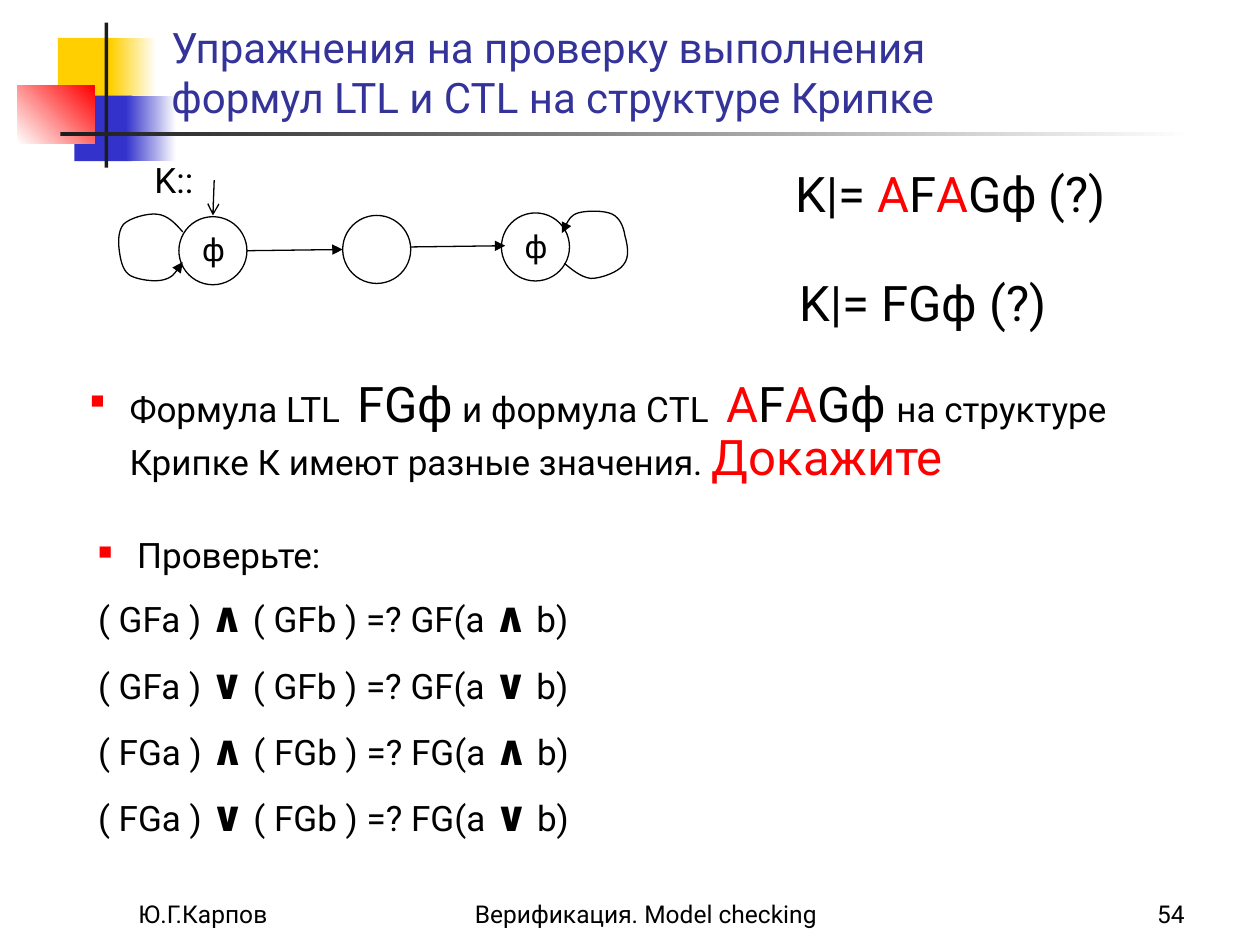
from lxml import etree
from pptx import Presentation
from pptx.dml.color import RGBColor
from pptx.enum.shapes import MSO_CONNECTOR, MSO_SHAPE
from pptx.enum.text import MSO_ANCHOR, PP_ALIGN
from pptx.oxml.ns import qn
from pptx.util import Inches, Pt

COLORS = {"black": "000000", "red": "FF0000", "title": "333399", "blue": "3333CC",
          "yellow": "FFCF01", "white": "FFFFFF", "dark": "1C1C1C"}
FONT = "Roboto"


def rgb(name):
    return RGBColor.from_string(COLORS[name])


class SlideBuilder:
    """Holds the slide being built and its drawing style."""

    def __init__(self, deck):
        self.slide = deck.slides.add_slide(deck.slide_layouts[5])
        self.shapes = self.slide.shapes

    def add_runs(self, para, runs):
        """Each run is (text, size, colour name, bold), the last two optional."""
        for text, size, *style in runs:
            span = para.add_run()
            span.text = text
            span.font.name = FONT
            span.font.size = Pt(size)
            span.font.color.rgb = rgb(style[0] if style else "black")
            span.font.bold = len(style) > 1 and style[1]

    def title(self, lines, left, top, width, height):
        box = self.shapes.title
        box.left, box.top = Inches(left), Inches(top)
        box.width, box.height = Inches(width), Inches(height)
        frame = box.text_frame
        frame.vertical_anchor = MSO_ANCHOR.BOTTOM
        para = frame.paragraphs[0]
        para.alignment = PP_ALIGN.LEFT
        for number, line in enumerate(lines):
            if number:
                para.add_line_break()
            self.add_runs(para, [(line, 24, "title")])

    def text(self, runs, left, top, width, height, align=PP_ALIGN.CENTER,
             anchor=MSO_ANCHOR.TOP, wrap=True):
        box = self.shapes.add_textbox(Inches(left), Inches(top), Inches(width), Inches(height))
        frame = box.text_frame
        frame.word_wrap = wrap
        frame.vertical_anchor = anchor
        para = frame.paragraphs[0]
        para.alignment = align
        self.add_runs(para, runs)
        return frame

    def paragraph_format(self, para, bullet=False, space_before=0):
        para.line_spacing = 0.9
        para.space_before = Pt(space_before)
        props = para._p.get_or_add_pPr()
        props.set("marL", str(Inches(0.81 if bullet else 0.5)))
        props.set("indent", str(Inches(-0.31 if bullet else 0)))
        if bullet:
            color = etree.SubElement(props, qn("a:buClr"))
            etree.SubElement(color, qn("a:srgbClr"), val=COLORS["red"])
            etree.SubElement(props, qn("a:buSzPct"), val="55000")
            etree.SubElement(props, qn("a:buChar"), char="■")
        else:
            etree.SubElement(props, qn("a:buNone"))

    def rectangle(self, left, top, width, height, color, fade_to=None, angle=0):
        shape = self.shapes.add_shape(MSO_SHAPE.RECTANGLE, Inches(left), Inches(top),
                                      Inches(width), Inches(height))
        shape.shadow.inherit = False
        shape.line.fill.background()
        if fade_to:
            shape.fill.gradient()
            shape.fill.gradient_angle = angle
            for stop, name in zip(shape.fill.gradient_stops, (color, fade_to)):
                stop.color.rgb = rgb(name)
        else:
            shape.fill.solid()
            shape.fill.fore_color.rgb = rgb(color)

    def outline(self, shape, head=None):
        shape.line.color.rgb = rgb("black")
        shape.line.width = Pt(0.75)
        if head:
            etree.SubElement(shape.line._get_or_add_ln(), qn("a:tailEnd"), type=head)

    def state(self, left, top, label=None):
        circle = self.shapes.add_shape(MSO_SHAPE.OVAL, Inches(left), Inches(top),
                                       Inches(0.54), Inches(0.54))
        circle.shadow.inherit = False
        circle.fill.background()
        self.outline(circle)
        if label:
            self.text([(label, 18)], left, top + 0.06, 0.55, 0.4)

    def arrow(self, start, end, head="triangle"):
        line = self.shapes.add_connector(MSO_CONNECTOR.STRAIGHT,
                                         *(Inches(value) for value in start + end))
        self.outline(line, head)
        etree.SubElement(line._element.spPr, qn("a:effectLst"))

    def loop(self, points):
        """Draw an arrow along Bezier curves: a start, then three points per curve."""
        start, *rest = [(Inches(x), Inches(y)) for x, y in points]
        builder = self.shapes.build_freeform(*start)
        builder.add_line_segments(rest, close=False)
        shape = builder.convert_to_shape()
        shape.shadow.inherit = False
        shape.fill.background()
        self.outline(shape, "triangle")
        segments = list(shape._element.iter(qn("a:lnTo")))
        outline = segments[0].getparent()
        for first in range(0, len(segments), 3):
            curve = etree.SubElement(outline, qn("a:cubicBezTo"))
            for segment in segments[first:first + 3]:
                curve.append(segment[0])
                outline.remove(segment)


def main():
    deck = Presentation()
    deck.slide_width, deck.slide_height = Inches(10), Inches(7.5)
    page = SlideBuilder(deck)

    # Corner ornament
    page.rectangle(0.46, 0.3, 0.48, 0.52, "yellow")
    page.rectangle(0.88, 0.3, 0.36, 0.52, "yellow", "white")
    page.rectangle(0.59, 0.76, 0.46, 0.52, "blue")
    page.rectangle(1, 0.76, 0.4, 0.52, "blue", "white")
    page.rectangle(0.14, 0.68, 0.61, 0.46, "white", "red", angle=45)
    page.rectangle(0.83, 0.18, 0.03, 1.15, "dark")
    page.rectangle(0.48, 1.05, 9, 0.03, "dark", "white")

    # The title is drawn over the ornament
    tree = page.shapes.title._element.getparent()
    tree.append(page.shapes.title._element)
    page.title(["Упражнения на проверку выполнения ", "формул LTL и CTL на структуре Крипке"],
               1.26, 0.22, 8.52, 0.8)
    for text, left, width, align in (
            ("Ю.Г.Карпов", 1, 2.08, PP_ALIGN.LEFT),
            ("Верификация. Model checking", 3.67, 3.17, PP_ALIGN.LEFT),
            ("54", 7.42, 2.08, PP_ALIGN.RIGHT)):
        page.text([(text, 14)], left, 6.92, width, 0.5, align, MSO_ANCHOR.BOTTOM)

    # Kripke structure
    page.state(1.42, 1.72, "ϕ")
    page.state(2.72, 1.71)
    page.state(3.98, 1.69, "ϕ")
    page.arrow((1.7, 1.43), (1.69, 1.71), "arrow")
    page.arrow((1.96, 1.99), (2.72, 1.98))
    page.arrow((3.26, 1.96), (4.01, 1.95))
    page.loop([(1.45, 1.84), (1.39, 1.77), (1.33, 1.71), (1.25, 1.7),
               (1.17, 1.69), (1.03, 1.73), (0.98, 1.78),
               (0.93, 1.84), (0.94, 1.95), (0.95, 2.01),
               (0.96, 2.08), (0.98, 2.16), (1.04, 2.19),
               (1.1, 2.22), (1.23, 2.24), (1.3, 2.22),
               (1.37, 2.2), (1.41, 2.14), (1.45, 2.08)])
    page.loop([(4.48, 2.09), (4.54, 2.14), (4.61, 2.2), (4.69, 2.21),
               (4.77, 2.21), (4.91, 2.16), (4.95, 2.1),
               (5, 2.04), (4.98, 1.94), (4.96, 1.87),
               (4.95, 1.8), (4.92, 1.73), (4.86, 1.7),
               (4.8, 1.67), (4.66, 1.67), (4.59, 1.69),
               (4.53, 1.71), (4.49, 1.78), (4.46, 1.85)])

    # Questions about the structure
    afag = [("A", 28, "red"), ("F", 28), ("A", 28, "red")]
    page.text([("K::", 20)], 1.1, 1.21, 0.56, 0.44, wrap=False)
    page.text([("K|= ", 28), *afag, ("Gϕ (?)", 28)], 6.02, 1.25, 3.05, 0.57, wrap=False)
    page.text([("K|= FGϕ (?)", 28)], 6.17, 2.11, 2.31, 0.57, wrap=False)

    claim = page.text([("Формула LTL  ", 20), ("FGϕ", 28), (" и формула СTL  ", 20), *afag,
                       ("Gϕ", 28), (" ", 24),
                       ("на структуре Крипке К имеют разные значения. ", 20),
                       ("Докажите", 28, "red")], 0.12, 2.97, 9.34, 0.86, PP_ALIGN.LEFT)
    page.paragraph_format(claim.paragraphs[0], bullet=True)

    checks = page.text([("Проверьте:", 20)], 0.18, 4.22, 9.88, 2.57, PP_ALIGN.LEFT)
    page.paragraph_format(checks.paragraphs[0], bullet=True)
    for operators in ("GF", "FG"):
        for sign in "∧∨":
            para = checks.add_paragraph()
            page.paragraph_format(para, space_before=12)
            symbol = (sign, 24, "black", True)
            page.add_runs(para, [(f"( {operators}a ) ", 20), symbol,
                                 (f" ( {operators}b ) =? {operators}(a ", 20), symbol,
                                 (" b)", 20)])

    deck.save("out.pptx")


if __name__ == "__main__":
    main()
